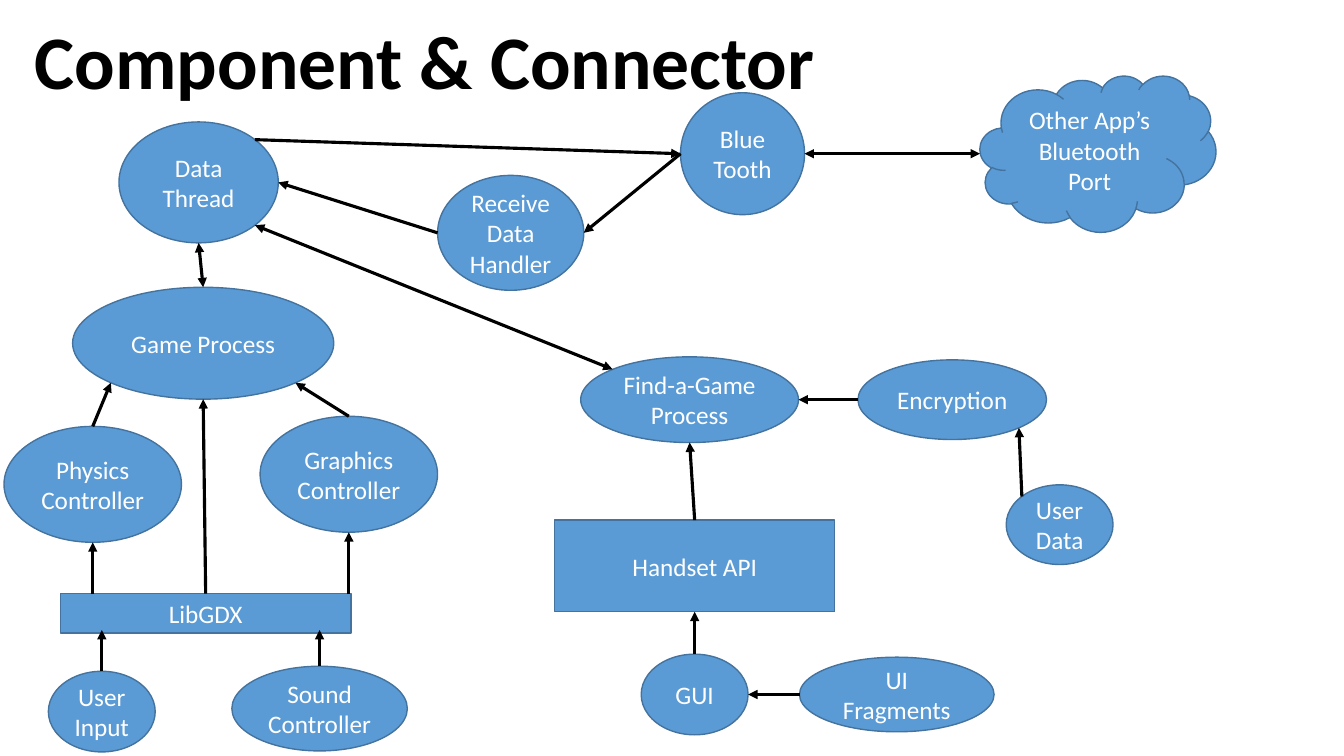
from dataclasses import dataclass
from enum import Enum
from math import sqrt

from lxml import etree
from pptx import Presentation
from pptx import util as u
from pptx.dml import color
from pptx.enum import shapes, text
from pptx.oxml import ns

PX = 9144


@dataclass(frozen=True)
class Theme:
    font: str = "Calibri"
    node_fill: str = "5B9BD5"
    node_line: str = "43739E"
    node_text: str = "FFFFFF"
    ink: str = "000000"
    title_size: float = 54
    node_size: float = 18
    node_border: float = 1
    link_width: float = 2.25


@dataclass(frozen=True)
class Node:
    label: str
    left: int
    top: int
    width: int
    height: int
    preset: shapes.MSO_SHAPE = shapes.MSO_SHAPE.OVAL


class Side(Enum):
    TOP = (0, -1)
    TOP_LEFT = (-1, -1)
    LEFT = (-1, 0)
    BOTTOM_LEFT = (-1, 1)
    BOTTOM = (0, 1)
    BOTTOM_RIGHT = (1, 1)
    RIGHT = (1, 0)
    TOP_RIGHT = (1, -1)


@dataclass(frozen=True)
class Dock:
    node: Node
    side: Side


@dataclass(frozen=True)
class Spot:
    x: int
    y: int


@dataclass(frozen=True)
class Link:
    start: Dock | Spot
    end: Dock | Spot
    both_ways: bool = False


THEME = Theme()
RECTANGLE = shapes.MSO_SHAPE.RECTANGLE
CLOUD = shapes.MSO_SHAPE.CLOUD
SITES = {
    shapes.MSO_SHAPE.OVAL: list(Side),
    RECTANGLE: [Side.TOP, Side.LEFT, Side.BOTTOM, Side.RIGHT],
    CLOUD: [Side.RIGHT, Side.BOTTOM, Side.LEFT, Side.TOP],
}

TITLE = Node("Component & Connector", 16, 9, 811, 101)
BLUETOOTH = Node("Blue Tooth", 675, 92, 123, 121)
DATA_THREAD = Node("Data Thread", 118, 121, 158, 120)
RECEIVER = Node("Receive\nData\nHandler", 434, 174, 145, 114)
GAME = Node("Game Process", 72, 285, 259, 111)
USER_INPUT = Node("User Input", 48, 666, 106, 80)
OTHER_PORT = Node("Other App’s Bluetooth Port", 972, 75, 234, 155, CLOUD)
FIND_GAME = Node("Find-a-Game Process", 576, 354, 216, 85)
LIBGDX = Node("LibGDX", 60, 589, 288, 39, RECTANGLE)
PHYSICS = Node("Physics Controller", 4, 423, 176, 115)
SOUND = Node("Sound Controller", 230, 661, 174, 84)
GRAPHICS = Node("Graphics Controller", 258, 413, 176, 115)
DEVICE_API = Node("Handset API", 550, 516, 278, 91, RECTANGLE)
GUI = Node("GUI", 636, 649, 106, 80)
FRAGMENTS = Node("UI Fragments", 793, 652, 193, 74)
USER_DATA = Node("User Data", 998, 481, 106, 79)
ENCRYPTION = Node("Encryption", 851, 357, 187, 79)

NODES = [BLUETOOTH, DATA_THREAD, RECEIVER, GAME, USER_INPUT, OTHER_PORT,
         FIND_GAME, LIBGDX, PHYSICS, SOUND, GRAPHICS, DEVICE_API, GUI,
         FRAGMENTS, USER_DATA, ENCRYPTION]

LINKS = [
    Link(Dock(BLUETOOTH, Side.LEFT), Dock(RECEIVER, Side.RIGHT)),
    Link(Dock(BLUETOOTH, Side.RIGHT), Dock(OTHER_PORT, Side.LEFT), True),
    Link(Dock(RECEIVER, Side.LEFT), Dock(DATA_THREAD, Side.RIGHT)),
    Link(Dock(DATA_THREAD, Side.BOTTOM), Dock(GAME, Side.TOP), True),
    Link(Dock(DATA_THREAD, Side.BOTTOM_RIGHT), Dock(FIND_GAME, Side.TOP_LEFT), True),
    Link(Dock(LIBGDX, Side.TOP), Dock(GAME, Side.BOTTOM)),
    Link(Spot(92, 589), Dock(PHYSICS, Side.BOTTOM)),
    Link(Dock(USER_INPUT, Side.TOP), Spot(101, 625)),
    Link(Dock(PHYSICS, Side.TOP), Dock(GAME, Side.BOTTOM_LEFT)),
    Link(Dock(SOUND, Side.TOP), Spot(317, 625)),
    Link(Spot(346, 589), Dock(GRAPHICS, Side.BOTTOM)),
    Link(Dock(GRAPHICS, Side.TOP), Dock(GAME, Side.BOTTOM_RIGHT)),
    Link(Dock(GUI, Side.TOP), Dock(DEVICE_API, Side.BOTTOM)),
    Link(Dock(FRAGMENTS, Side.LEFT), Dock(GUI, Side.RIGHT)),
    Link(Dock(DEVICE_API, Side.TOP), Dock(FIND_GAME, Side.BOTTOM)),
    Link(Dock(ENCRYPTION, Side.LEFT), Dock(FIND_GAME, Side.RIGHT)),
    Link(Dock(USER_DATA, Side.TOP_LEFT), Dock(ENCRYPTION, Side.BOTTOM_RIGHT)),
    Link(Dock(DATA_THREAD, Side.TOP_RIGHT), Dock(BLUETOOTH, Side.LEFT)),
]


def rgb(value: str) -> color.RGBColor:
    return color.RGBColor.from_string(value)


def box(node: Node) -> list[int]:
    return [length * PX for length in (node.left, node.top, node.width, node.height)]


def write(shape, label: str, size: float, ink: str, anchor, bold: bool = False,
          spacing: float = 1.0) -> None:
    frame = shape.text_frame
    frame.word_wrap = True
    frame.vertical_anchor = anchor
    for index, line in enumerate(label.split("\n")):
        paragraph = frame.add_paragraph() if index else frame.paragraphs[0]
        paragraph.alignment = text.PP_ALIGN.CENTER
        paragraph.line_spacing = spacing
        run = paragraph.add_run()
        run.text = line
        run.font.name = THEME.font
        run.font.size = u.Pt(size)
        run.font.bold = bold
        run.font.color.rgb = rgb(ink)


def draw_node(slide, node: Node):
    shape = slide.shapes.add_shape(node.preset, *box(node))
    shape.shadow.inherit = False
    shape.fill.solid()
    shape.fill.fore_color.rgb = rgb(THEME.node_fill)
    shape.line.color.rgb = rgb(THEME.node_line)
    shape.line.width = u.Pt(THEME.node_border)
    write(shape, node.label, THEME.node_size, THEME.node_text, text.MSO_ANCHOR.MIDDLE)
    return shape


def locate(place: Dock | Spot) -> tuple[int, int]:
    if isinstance(place, Spot):
        return place.x * PX, place.y * PX
    left, top, width, height = box(place.node)
    across, down = place.side.value
    reach = 0.5 / sqrt(across ** 2 + down ** 2)
    return round(left + width * (0.5 + across * reach)), round(top + height * (0.5 + down * reach))


def draw_link(slide, link: Link, drawn: dict) -> None:
    connector = slide.shapes.add_connector(
        shapes.MSO_CONNECTOR.STRAIGHT, *locate(link.start), *locate(link.end))
    connector.line.color.rgb = rgb(THEME.ink)
    connector.line.width = u.Pt(THEME.link_width)
    outline = connector.line._get_or_add_ln()
    for tag in ["a:headEnd", "a:tailEnd"] if link.both_ways else ["a:tailEnd"]:
        etree.SubElement(outline, ns.qn(tag), type="triangle")
    etree.SubElement(connector._element.spPr, ns.qn("a:effectLst"))
    joints = connector._element.nvCxnSpPr.cNvCxnSpPr
    for tag, place in (("a:stCxn", link.start), ("a:endCxn", link.end)):
        if isinstance(place, Dock):
            site = SITES[place.node.preset].index(place.side)
            etree.SubElement(joints, ns.qn(tag), id=str(drawn[place.node].shape_id), idx=str(site))


def main() -> None:
    presentation = Presentation()
    presentation.slide_width = u.Inches(13.33)
    presentation.slide_height = u.Inches(7.5)
    slide = presentation.slides.add_slide(presentation.slide_layouts[6])
    title = slide.shapes.add_textbox(*box(TITLE))
    write(title, TITLE.label, THEME.title_size, THEME.ink, text.MSO_ANCHOR.BOTTOM, True, 0.9)
    drawn = {node: draw_node(slide, node) for node in NODES}
    for link in LINKS:
        draw_link(slide, link, drawn)
    presentation.save("out.pptx")


if __name__ == "__main__":
    main()
